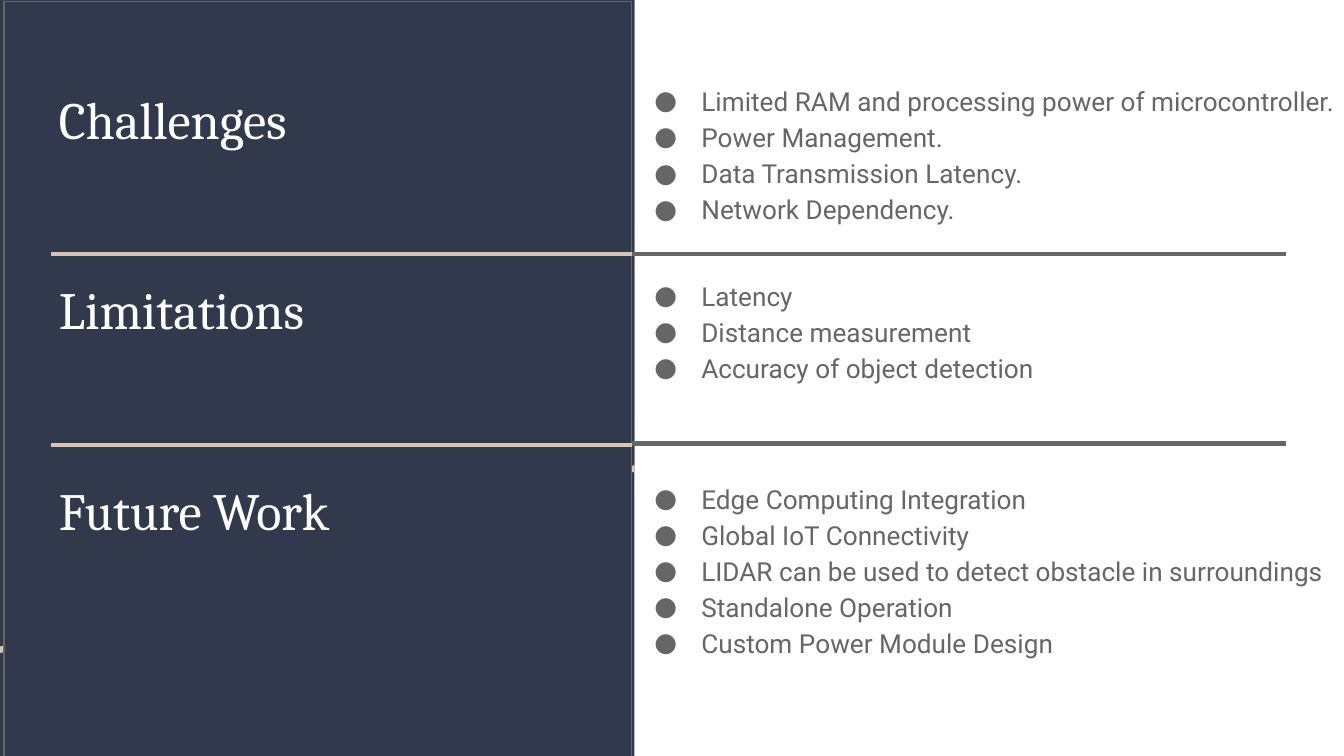
from lxml.etree import SubElement
from pptx import Presentation
from pptx.dml.color import RGBColor
from pptx.enum.shapes import MSO_CONNECTOR as Connector, MSO_SHAPE as Shape
from pptx.oxml.ns import qn
from pptx.util import Inches, Pt

NAVY, SAND, GRAY, WHITE = "31394D", "D9C4B1", "666666", "FFFFFF"
WIDTH = 10
HEIGHT = WIDTH * 9 / 16
SECTIONS = [
    (0.55, 0.5, 5.75, 1.38, "Challenges", [
        "Limited RAM and processing power of microcontroller.",
        "Power Management.",
        "Data Transmission Latency.",
        "Network Dependency."]),
    (1.96, 1.95, 5.3, 1.28, "Limitations", [
        "Latency",
        "Distance measurement",
        "Accuracy of object detection"]),
    (3.46, 3.46, 5.53, 2.16, "Future Work", [
        "Edge Computing Integration",
        "Global IoT Connectivity",
        "LIDAR can be used to detect obstacle in surroundings",
        "Standalone Operation",
        "Custom Power Module Design"]),
]


def color(value):
    """Turn a hex string into a colour."""
    return RGBColor.from_string(value)


def paint(shape, fill, line=None):
    """Give a shape a flat fill and an optional thin outline."""
    shape.shadow.inherit = False
    shape.fill.solid()
    shape.fill.fore_color.rgb = color(fill)
    if line:
        shape.line.color.rgb = color(line)
        shape.line.width = Pt(0.75)
    else:
        shape.line.fill.background()


def add_rectangle(page, left, top, width, height, fill, line=None):
    """Add a flat rectangle."""
    box = page.shapes.add_shape(
        Shape.RECTANGLE, Inches(left), Inches(top), Inches(width), Inches(height))
    paint(box, fill, line)


def add_slanted_band(page, left, top, width, height, rise, fill):
    """Add a band whose lower edge climbs to the right."""
    right, bottom = left + width, top + height
    corners = [(left, top), (right, top), (right, bottom - rise), (left, bottom)]
    start, *others = [(Inches(x), Inches(y)) for x, y in corners]
    builder = page.shapes.build_freeform(*start)
    builder.add_line_segments(others, close=True)
    paint(builder.convert_to_shape(), fill)


def add_side_panel(page, left, top, width, height):
    """Build the dark left panel with its layered bands."""
    add_rectangle(page, left, top, width, height, NAVY)
    for offset, fill in ((0.05, SAND), (0, NAVY)):
        add_slanted_band(page, left, top + offset, width, 4.81, 1.35, fill)
    add_rectangle(page, left + 0.03, top + 0.01, width - 0.05, height, NAVY, GRAY)


def add_bullet(para):
    """Give a paragraph a hanging gray dot."""
    para.line_spacing = 1.15
    props = para._p.get_or_add_pPr()
    props.set("marL", str(Inches(0.5)))
    props.set("indent", str(Inches(-0.35)))
    bullet_color = SubElement(props, qn("a:buClr"))
    SubElement(bullet_color, qn("a:srgbClr"), val=GRAY)
    SubElement(props, qn("a:buFont"), typeface="Roboto")
    SubElement(props, qn("a:buChar"), char="●")


def add_text(page, left, top, width, height, lines, font, size, tint, bulleted=False):
    """Add a wrapped text box with one paragraph per line."""
    box = page.shapes.add_textbox(
        Inches(left), Inches(top), Inches(width), Inches(height))
    frame = box.text_frame
    frame.word_wrap = True
    frame.margin_left = frame.margin_right = Inches(0.1)
    frame.margin_top = frame.margin_bottom = Inches(0.1)
    frame.text = "\n".join(lines)
    for para in frame.paragraphs:
        if bulleted:
            add_bullet(para)
        para.font.name = font
        para.font.size = Pt(size)
        para.font.color.rgb = color(tint)


def add_section(page, title_top, body_top, body_width, body_height, title, items):
    """Place a heading on the panel and its bullets beside it."""
    add_text(page, 0.34, title_top, 4.05, 0.71, [title], "Cambria", 28, WHITE)
    add_text(page, 4.62, body_top, body_width, body_height, items,
             "Roboto", 14, GRAY, bulleted=True)


def add_rule(page, left, right, top, tint):
    """Draw a horizontal divider."""
    rule = page.shapes.add_connector(
        Connector.STRAIGHT, Inches(left), Inches(top), Inches(right), Inches(top))
    rule.line.color.rgb = color(tint)
    rule.line.width = Pt(2.25)
    SubElement(rule._element.spPr, qn("a:effectLst"))


def main():
    """Build the slide and save it."""
    deck = Presentation()
    deck.slide_width, deck.slide_height = Inches(WIDTH), Inches(HEIGHT)
    page = deck.slides.add_slide(deck.slide_layouts[6])
    page.background.fill.solid()
    page.background.fill.fore_color.rgb = color(WHITE)
    add_side_panel(page, 0, 0, 4.72, HEIGHT)
    for section in SECTIONS:
        add_section(page, *section)
    add_rule(page, 4.65, 9.57, 1.89, GRAY)
    add_rule(page, 4.7, 9.57, 3.3, GRAY)
    add_rule(page, 0.38, 4.7, 3.31, SAND)
    add_rule(page, 0.38, 4.7, 1.89, SAND)
    deck.save("out.pptx")


if __name__ == "__main__":
    main()
